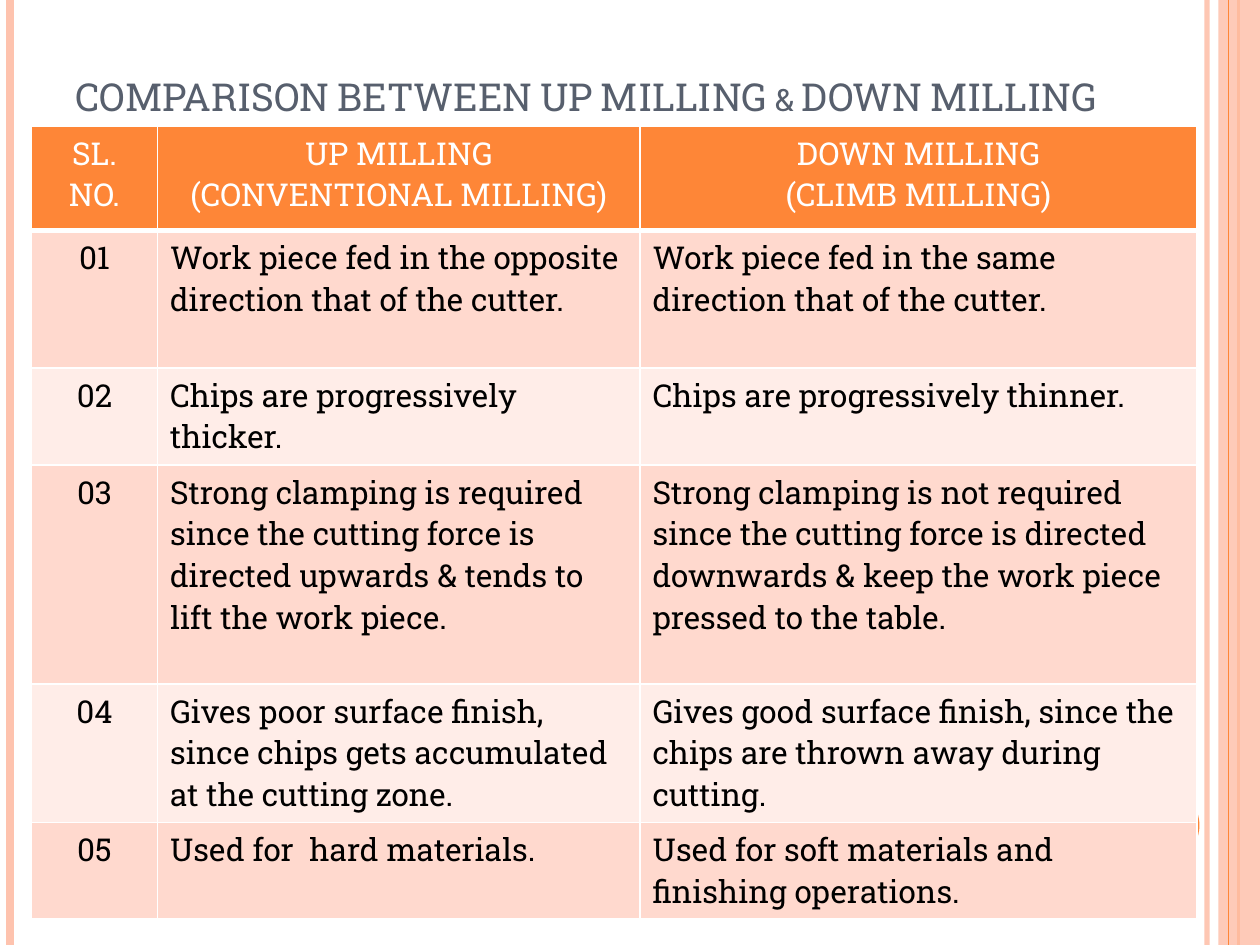
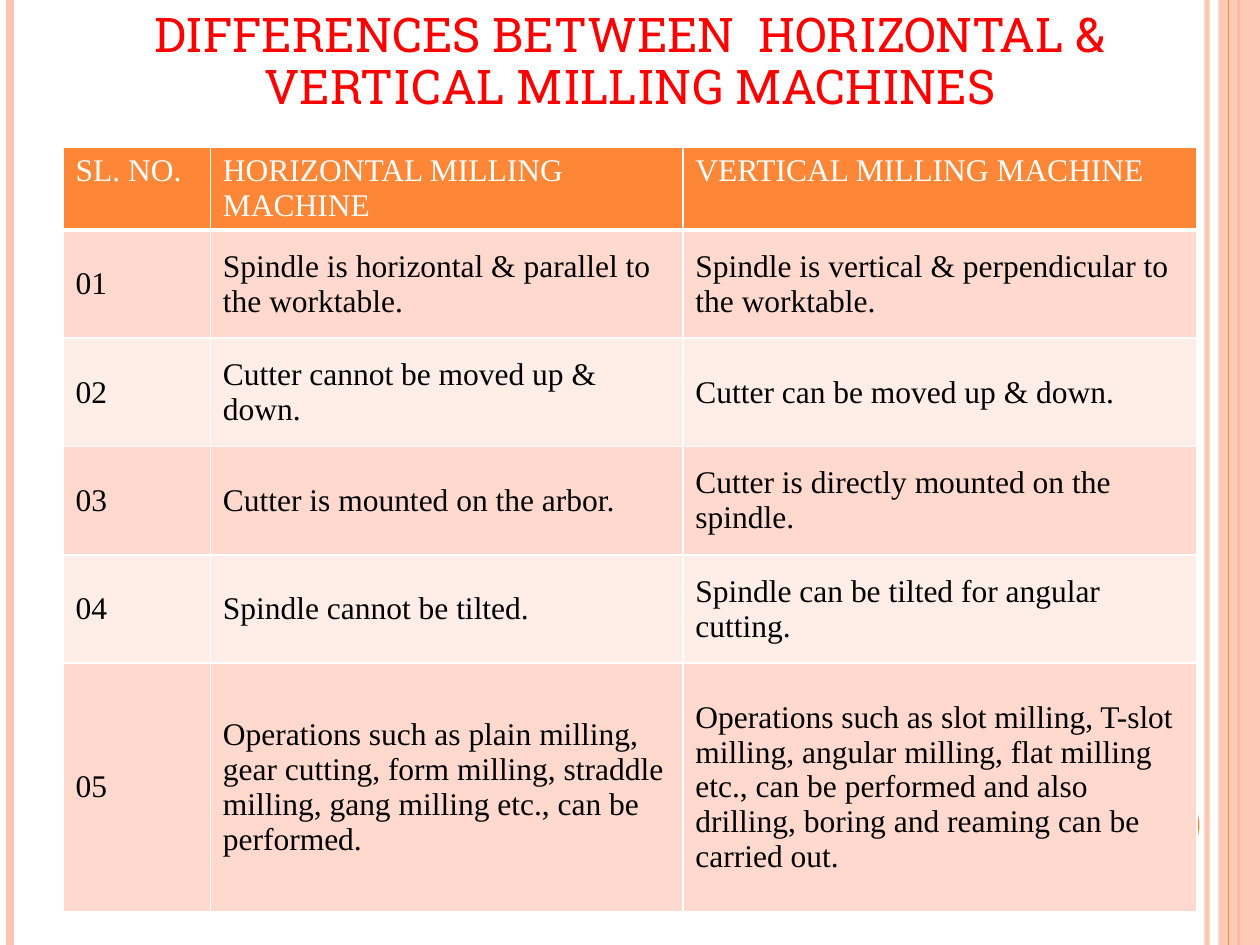
import lxml.etree
import pptx
import pptx.dml.color
import pptx.enum.shapes
import pptx.enum.text
import pptx.oxml.ns
import pptx.util

ALIGN = pptx.enum.text.PP_ALIGN
ANCHOR = pptx.enum.text.MSO_ANCHOR
INCH = pptx.util.Inches
qn = pptx.oxml.ns.qn

# Content: each row is number, left machine or method, right one
MILLING_METHODS = [
    ("SL. NO.", "UP MILLING\n(CONVENTIONAL MILLING)", "DOWN MILLING\n(CLIMB MILLING)"),
    ("01", "Work piece fed in the opposite direction that of the cutter.",
     "Work piece fed in the same direction that of the cutter."),
    ("02", "Chips are progressively thicker.", "Chips are progressively thinner."),
    ("03", "Strong clamping is required since the cutting force is directed upwards "
     "& tends to lift the work piece.",
     "Strong clamping is not required since the cutting force is directed downwards "
     "& keep the work piece pressed to the table."),
    ("04", "Gives poor surface finish, since chips gets accumulated at the cutting zone.",
     "Gives good surface finish, since the chips are thrown away during cutting."),
    ("05", "Used for  hard materials.", "Used for soft materials and finishing operations."),
]
MILLING_MACHINES = [
    ("SL. NO.", "HORIZONTAL MILLING MACHINE", "VERTICAL MILLING MACHINE"),
    ("01", "Spindle is horizontal & parallel to the worktable.",
     "Spindle is vertical & perpendicular to the worktable."),
    ("02", "Cutter cannot be moved up & down.", "Cutter can be moved up & down."),
    ("03", "Cutter is mounted on the arbor.", "Cutter is directly mounted on the spindle."),
    ("04", "Spindle cannot be tilted.", "Spindle can be tilted for angular cutting."),
    ("05", "Operations such as plain milling, gear cutting, form milling, straddle "
     "milling, gang milling etc., can be performed.",
     "Operations such as slot milling, T-slot milling, angular milling, flat milling "
     "etc., can be performed and also drilling, boring and reaming can be carried out."),
]


class Theme:
    width, height = 10, 7.5
    orange, peach = "FE8637", "FEC3AE"
    bands = "FFD9CE", "FFEDE8"
    white, black, slate, red = "FFFFFF", "000000", "575F6D", "FF0000"
    slab, serif = "Roboto Slab", "Times New Roman"
    body = 18
    rule, header_rule = 1, 3


SLIDES = [
    dict(title="COMPARISON BETWEEN UP MILLING & DOWN MILLING",
         title_format=dict(size=22, color=Theme.slate, anchor=ANCHOR.BOTTOM, small_caps=True),
         rows=MILLING_METHODS, origin=(0.25, 1), widths=(1, 3.83, 4.42),
         heights=(0.83, 1.09, 0.77, 1.74, 1.1, 0.76), font=Theme.slab,
         centred_columns=(0,), centred_header=True, body_anchor=ANCHOR.TOP),
    dict(title="DIFFERENCES BETWEEN  HORIZONTAL & VERTICAL MILLING MACHINES",
         title_format=dict(size=27.3, color=Theme.red, anchor=ANCHOR.MIDDLE,
                           align=ALIGN.CENTER, spacing=0.9),
         rows=MILLING_MACHINES, origin=(0.5, 1.17), widths=(1.17, 3.75, 4.08),
         heights=(0.65, 0.86, 0.86, 0.86, 0.86, 1.97), font=Theme.serif,
         centred_columns=(), centred_header=False, body_anchor=ANCHOR.MIDDLE),
]

# Vertical rules: x, colour, points, opacity in percent
EDGE_RULES = [(9.58, Theme.peach, 3, 93), (0.08, Theme.peach, 4.5, 100),
              (9.83, Theme.orange, 1.5, 100)]
INNER_RULE = (9.75, Theme.orange, 0.75, 100)


def rgb(code):
    return pptx.dml.color.RGBColor.from_string(code)


def paint(fill, color, opacity=100):
    fill.solid()
    fill.fore_color.rgb = rgb(color)
    if opacity < 100:
        clr = fill._xPr.find(".//" + qn("a:srgbClr"))
        lxml.etree.SubElement(clr, qn("a:alpha"), val=str(opacity * 1000))


def write(tf, text, size=Theme.body, font=Theme.slab, color=Theme.black,
          align=ALIGN.LEFT, spacing=None, small_caps=False, anchor=None):
    """Fill a text frame; each line of text becomes a paragraph."""
    if anchor is not None:
        tf.vertical_anchor = anchor
    for i, line in enumerate(text.split("\n")):
        p = tf.add_paragraph() if i else tf.paragraphs[0]
        p.alignment = align
        if spacing:
            p.line_spacing = spacing
        r = p.add_run()
        r.text = line
        r.font.name, r.font.size = font, pptx.util.Pt(size)
        r.font.bold = False
        r.font.color.rgb = rgb(color)
        if small_caps:
            r.font._element.set("cap", "small")


def add_rule(slide, x, color, points, opacity):
    line = slide.shapes.add_connector(pptx.enum.shapes.MSO_CONNECTOR.STRAIGHT,
                                      INCH(x), 0, INCH(x), INCH(Theme.height))
    paint(line.line.fill, color, opacity)
    line.line.width = pptx.util.Pt(points)
    lxml.etree.SubElement(line._element.spPr, qn("a:effectLst"))


def add_filled(slide, kind, box, color, opacity=100):
    sp = slide.shapes.add_shape(kind, *map(INCH, box))
    sp.shadow.inherit = False
    paint(sp.fill, color, opacity)
    sp.line.fill.background()


def add_frame(slide):
    """Draw the side bands and the number disc shared by all slides."""
    shapes = pptx.enum.shapes.MSO_SHAPE
    for rule in EDGE_RULES:
        add_rule(slide, *rule)
    add_filled(slide, shapes.RECTANGLE, (9.67, 0, 0.33, Theme.height), Theme.peach, 87)
    add_rule(slide, *INNER_RULE)
    add_filled(slide, shapes.OVAL, (8.92, 6.25, 0.6, 0.6), Theme.orange)


def add_title(slide, text, **text_format):
    sp = slide.shapes.title
    sp.left, sp.top, sp.width, sp.height = map(INCH, (0.5, 0, 9, 1))
    sp.text_frame.word_wrap = True
    sp.text_frame.auto_size = pptx.enum.text.MSO_AUTO_SIZE.NONE
    write(sp.text_frame, text, **text_format)


def set_borders(cell, is_header):
    tcPr = cell._tc.get_or_add_tcPr()
    for side in "LRTB":
        points = Theme.header_rule if is_header and side == "B" else Theme.rule
        ln = lxml.etree.SubElement(tcPr, qn("a:ln" + side), w=str(pptx.util.Pt(points)))
        fill = lxml.etree.SubElement(ln, qn("a:solidFill"))
        lxml.etree.SubElement(fill, qn("a:srgbClr"), val=Theme.white)


def add_comparison(slide, rows, origin, widths, heights, font,
                   centred_columns, centred_header, body_anchor):
    box = (*origin, sum(widths), sum(heights))
    table = slide.shapes.add_table(len(rows), len(widths), *map(INCH, box)).table
    table.horz_banding = False
    for column, width in zip(table.columns, widths):
        column.width = INCH(width)
    for i, (row, height) in enumerate(zip(rows, heights)):
        table.rows[i].height = INCH(height)
        is_header = i == 0
        for j, text in enumerate(row):
            cell = table.cell(i, j)
            centred = j in centred_columns or (is_header and centred_header)
            set_borders(cell, is_header)
            paint(cell.fill, Theme.orange if is_header else Theme.bands[(i - 1) % 2])
            cell.vertical_anchor = ANCHOR.TOP if is_header else body_anchor
            write(cell.text_frame, text, font=font,
                  color=Theme.white if is_header else Theme.black,
                  align=ALIGN.CENTER if centred else ALIGN.LEFT)


def main():
    prs = pptx.Presentation()
    prs.slide_width, prs.slide_height = INCH(Theme.width), INCH(Theme.height)
    title_only = prs.slide_layouts[5]
    for content in SLIDES:
        slide = prs.slides.add_slide(title_only)
        add_frame(slide)
        table = dict(content)
        add_title(slide, table.pop("title"), **table.pop("title_format"))
        add_comparison(slide, **table)
    prs.save("out.pptx")


if __name__ == "__main__":
    main()
